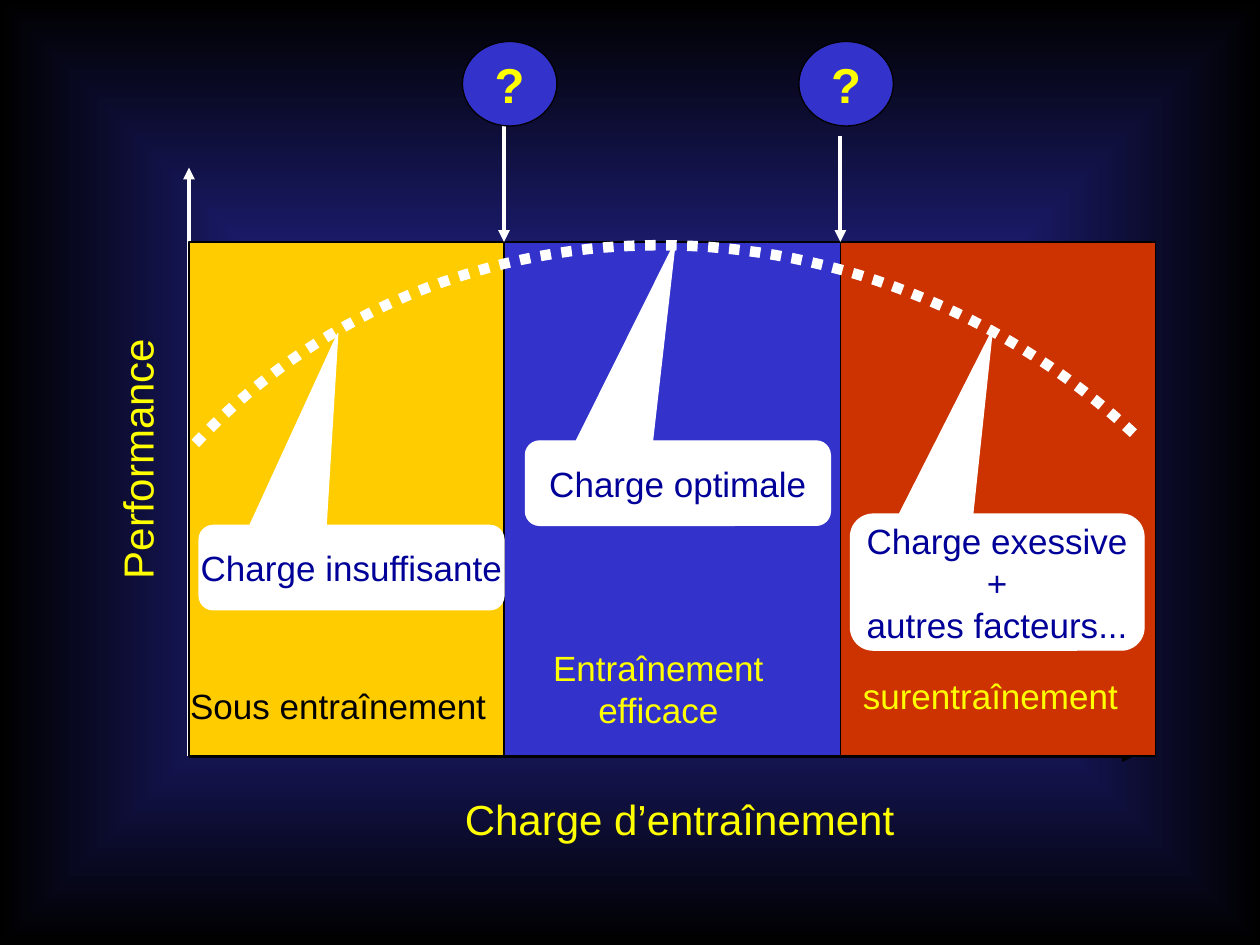
from pptx import Presentation
from pptx.dml.color import RGBColor
from pptx.enum.dml import MSO_LINE as Dash
from pptx.enum.shapes import MSO_CONNECTOR as Link, MSO_SHAPE as Kind
from pptx.enum.text import MSO_ANCHOR as Anchor, PP_ALIGN as Align
from pptx.oxml.ns import qn
from pptx.util import Inches, Pt
from lxml.etree import SubElement as Sub

WHITE, BLACK, YELLOW = "FFFFFF", "000000", "FFFF00"
BLUE, NAVY = "3333CC", "000099"


def color(code):
    return RGBColor.from_string(code)


def write(shape, text, size, ink, align=Align.CENTER, bold=False):
    frame = shape.text_frame
    frame.word_wrap = False
    frame.vertical_anchor = Anchor.MIDDLE
    frame.text = text
    style = {"name": "Arial", "size": Pt(size), "bold": bold}
    for para in frame.paragraphs:
        para.alignment = align
        for key, value in style.items():
            setattr(para.font, key, value)
        para.font.color.rgb = color(ink)


def label(slide, box, text, size=20, ink=YELLOW, align=Align.LEFT, turn=0):
    shape = slide.shapes.add_textbox(*map(Inches, box))
    shape.rotation = turn
    write(shape, text, size, ink, align)


def block(slide, kind, box, fill, edge=BLACK):
    shape = slide.shapes.add_shape(kind, *map(Inches, box))
    shape.shadow.inherit = False
    shape.fill.solid()
    shape.fill.fore_color.rgb = color(fill)
    shape.line.color.rgb = color(edge)
    shape.line.width = Pt(0.75)
    return shape


def arrow(slide, start, end, ink=WHITE):
    line = slide.shapes.add_connector(Link.STRAIGHT, *map(Inches, start + end))
    line.line.color.rgb = color(ink)
    line.line.width = Pt(2.25)
    Sub(line.line._get_or_add_ln(), qn("a:tailEnd"), type="triangle")
    Sub(line._element.spPr, qn("a:effectLst"))


def backdrop(slide):
    """Rectangular gradient, blue in the centre and black at the edges."""
    fill = slide.background.fill
    fill.gradient()
    for stop, code, place in zip(fill.gradient_stops, (BLUE, BLACK), (0, 1)):
        stop.color.rgb = color(code)
        stop.position = place
    grad = slide.background._cSld.find(".//" + qn("a:gradFill"))
    grad.remove(grad.find(qn("a:lin")))
    route = Sub(grad, qn("a:path"), path="rect")
    Sub(route, qn("a:fillToRect"), l="50000", t="50000", r="50000", b="50000")


def axes(slide, box):
    x, y, w, h = box
    base = y + h
    label(slide, (x + 2.09, base + 0.25, 3.61, 0.5), "Charge d’entraînement", 24)
    label(slide, (x - 1.47, y + 1.47, 2.11, 0.5), "Performance", 24, turn=270)
    arrow(slide, (x, base), (x, y - 0.59))
    arrow(slide, (x, base), (x + 7.5, base), BLACK)


def zones(slide, box):
    x, y, _, h = box
    for width, fill in ((2.5, "FFCC00"), (2.67, BLUE), (2.5, "CC3300")):
        block(slide, Kind.RECTANGLE, (x, y, width, h), fill)
        x += width


def curve(slide, box, steps=60):
    """Dotted arch sampled from a cubic Bezier."""
    x, y = box[:2]
    knots = ((0.05, 1.6), (2, -0.48), (5.35, -0.5), (7.53, 1.55))

    def point(t):
        s = 1 - t
        parts = (s**3, 3 * s * s * t, 3 * s * t * t, t**3)
        return tuple(
            Inches(base + sum(p * k[axis] for p, k in zip(parts, knots)))
            for axis, base in enumerate((x, y))
        )

    dots = [point(i / steps) for i in range(steps + 1)]
    path = slide.shapes.build_freeform(*dots[0])
    path.add_line_segments(dots[1:], close=False)
    arch = path.convert_to_shape()
    arch.shadow.inherit = False
    arch.fill.background()
    arch.line.color.rgb = color(WHITE)
    arch.line.width = Pt(6)
    arch.line.dash_style = Dash.ROUND_DOT


def notes(slide, box):
    """Callouts pointing at the curve, and the names of the zones."""
    x, y = box[:2]
    calls = (
        ((0.08, 2.25, 2.42, 0.67), (-0.045, -2.771), "Charge insuffisante"),
        ((2.67, 1.58, 2.42, 0.67), (-0.009, -2.854), "Charge optimale"),
        ((5.25, 2.16, 2.33, 1.08), (-0.017, -1.848),
         "Charge exessive\n+\nautres facteurs..."),
    )
    for (dx, dy, w, h), tip, text in calls:
        call = block(slide, Kind.ROUNDED_RECTANGULAR_CALLOUT,
                     (x + dx, y + dy, w, h), WHITE, WHITE)
        for i, value in enumerate(tip + (0.167,)):
            call.adjustments[i] = value
        write(call, text, 20, NAVY)
    names = (
        ((-0.09, 3.46, 2.55, 0.44), "Sous entraînement", BLACK, Align.LEFT),
        ((5.25, 3.38, 2.3, 0.44), "surentraînement", YELLOW, Align.LEFT),
        ((2.75, 3.16, 1.95, 0.77), "Entraînement\nefficace", YELLOW, Align.CENTER),
    )
    for (dx, dy, w, h), text, ink, align in names:
        label(slide, (x + dx, y + dy, w, h), text, ink=ink, align=align)


def limits(slide, box):
    """Question marks above the two zone borders."""
    x, y = box[:2]
    for dx, top in ((2.5, 1), (5.17, 1.08)):
        arrow(slide, (x + dx, top), (x + dx, y))
        mark = block(slide, Kind.OVAL, (x + dx - 0.33, y - 1.59, 0.75, 0.67), BLUE)
        write(mark, "?", 28, YELLOW, bold=True)


def main():
    deck = Presentation()
    deck.slide_width, deck.slide_height = Inches(10), Inches(7.5)
    slide = deck.slides.add_slide(deck.slide_layouts[6])
    backdrop(slide)
    plot = (1.5, 1.92, 7.67, 4.08)
    for part in (axes, zones, curve, notes, limits):
        part(slide, plot)
    deck.save("out.pptx")


if __name__ == "__main__":
    main()
